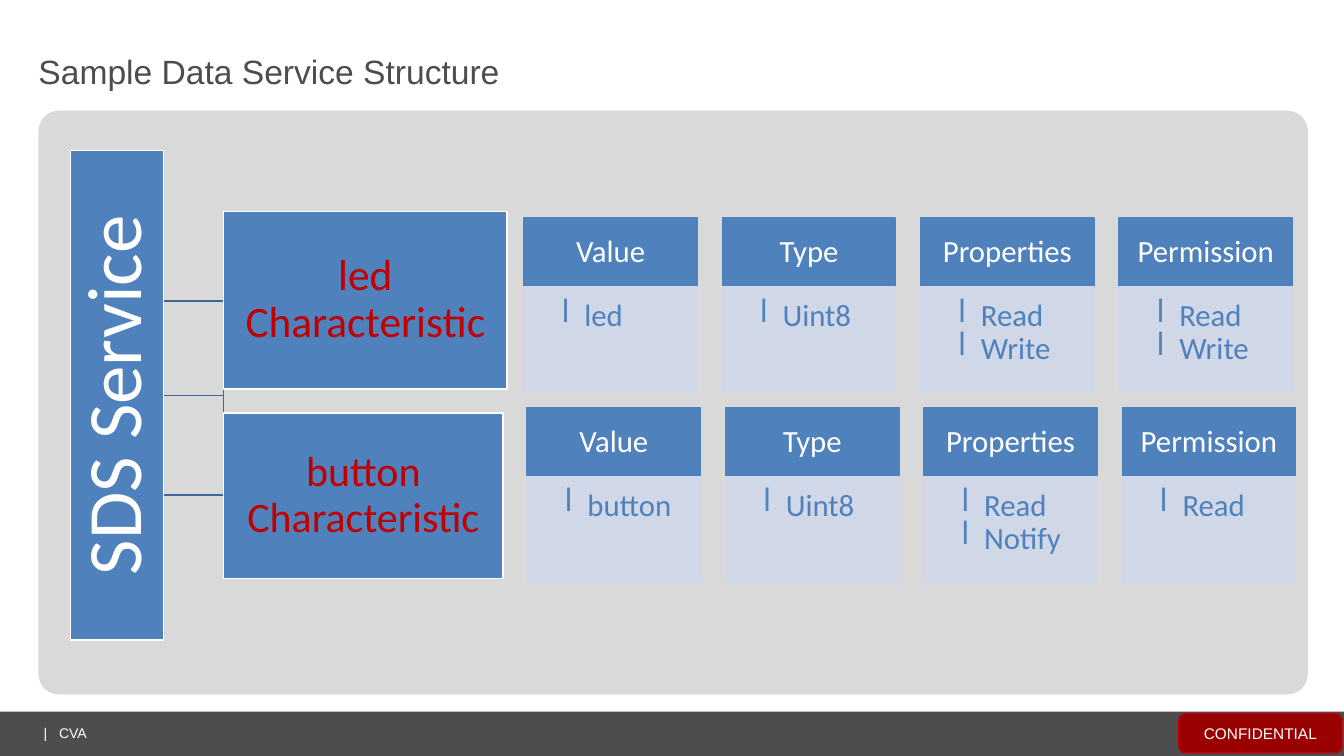
import pptx
import pptx.util
import pptx.dml.color
import pptx.enum.shapes
import pptx.enum.text
import pptx.oxml
import pptx.oxml.ns

Cm = pptx.util.Cm
Pt = pptx.util.Pt
RGBColor = pptx.dml.color.RGBColor
SHAPE = pptx.enum.shapes.MSO_SHAPE
ALIGN = pptx.enum.text.PP_ALIGN
ANCHOR = pptx.enum.text.MSO_ANCHOR

WHITE = RGBColor(0xFF, 0xFF, 0xFF)
CHARCOAL = RGBColor(0x4D, 0x4D, 0x4D)
PANEL_GREY = RGBColor(0xD9, 0xD9, 0xD9)
BLUE = RGBColor(0x4F, 0x81, 0xBD)
PALE_BLUE = RGBColor(0xD0, 0xD8, 0xE7)
LINE_BLUE = RGBColor(0x3F, 0x67, 0x97)
RED = RGBColor(0xC0, 0x00, 0x00)
DARK_RED = RGBColor(0x99, 0x00, 0x00)

CENTRED = {"alignment": ALIGN.CENTER, "line_spacing": 0.9}
LEFT = {"alignment": ALIGN.LEFT}

CHARACTERISTICS = [
    {"name": "led Characteristic", "size": 31,
     "box": (5.64, 5.33, 7.14, 4.47), "fields": (13.21, 5.49),
     "cards": {"Value": ["led"], "Type": ["Uint8"],
               "Properties": ["Read", "Write"], "Permission": ["Read", "Write"]}},
    {"name": "button Characteristic", "size": 30,
     "box": (5.64, 10.41, 7.04, 4.17), "fields": (13.29, 10.27),
     "cards": {"Value": ["button"], "Type": ["Uint8"],
               "Properties": ["Read", "Notify"], "Permission": ["Read"]}},
]


def add_ppr_child(para, xml):
    """Append one child element to the properties of a paragraph."""
    namespace = pptx.oxml.ns.nsdecls("a")
    tag, rest = xml.split(" ", 1)
    child = pptx.oxml.parse_xml(f"<a:{tag} {namespace} {rest}")
    para._p.get_or_add_pPr().append(child)


def add_bullet(para):
    """Give a paragraph a hanging letter bullet."""
    properties = para._p.get_or_add_pPr()
    properties.set("marL", str(Cm(1.19)))
    properties.set("indent", str(-Cm(0.58)))
    add_ppr_child(para, 'buChar char="l"/>')


def write_text(shape, lines, size, color, font="Calibri", insets=(0, 0, 0, 0),
               anchor=ANCHOR.MIDDLE, layout=CENTRED, prepare=None):
    """Fill a shape with formatted paragraphs."""
    frame = shape.text_frame
    left, top, right, bottom = (Cm(inset) for inset in insets)
    frame_format = {"word_wrap": True, "auto_size": pptx.enum.text.MSO_AUTO_SIZE.NONE,
                    "vertical_anchor": anchor, "margin_left": left, "margin_top": top,
                    "margin_right": right, "margin_bottom": bottom}
    for name, value in frame_format.items():
        setattr(frame, name, value)
    for index, line in enumerate(lines):
        para = frame.add_paragraph() if index else frame.paragraphs[0]
        for name, value in layout.items():
            setattr(para, name, value)
        if prepare:
            prepare(para)
        span = para.add_run()
        span.text = line
        for name, value in {"name": font, "size": Pt(size)}.items():
            setattr(span.font, name, value)
        span.font.color.rgb = color


def add_block(page, box, fill, line=None, kind=SHAPE.RECTANGLE, corner=None):
    """Draw a filled preset shape in a box given in centimetres."""
    shape = page.shapes.add_shape(kind, *(Cm(length) for length in box))
    shape.shadow.inherit = False
    shape.fill.solid()
    shape.fill.fore_color.rgb = fill
    if line is None:
        shape.line.fill.background()
    else:
        shape.line.color.rgb = line
        shape.line.width = Pt(1)
    if corner is not None:
        shape.adjustments[0] = corner
    return shape


def add_footer(page, box):
    """Draw the footer bar with its owner label and confidentiality badge."""
    left, top, width, height = box
    add_block(page, box, CHARCOAL)
    badge = add_block(page, (left + width - 4.16, top + 0.05, 4.11, 0.99), DARK_RED, RED,
                      SHAPE.ROUNDED_RECTANGLE, 0.167)
    write_text(badge, ["CONFIDENTIAL"], 11, WHITE, "Arial", (0.25, 0.13, 0.25, 0.13),
               layout={"alignment": ALIGN.CENTER})
    label = page.shapes.add_textbox(Cm(left + 1.1), Cm(top + 0.18), Cm(4.4), Cm(0.74))
    tab_stop = f'tabLst ><a:tab pos="{Cm(0.39)}" algn="l"/></a:tabLst>'
    write_text(label, ["|\tCVA"], 10, WHITE, "Arial", layout=LEFT,
               prepare=lambda para: add_ppr_child(para, tab_stop))


def add_title(page, box):
    """Place and format the title placeholder."""
    title = page.shapes.title
    for name, length in zip(("left", "top", "width", "height"), box):
        setattr(title, name, Cm(length))
    write_text(title, ["Sample Data Service Structure"], 24, CHARCOAL, "Arial", layout=LEFT)


def add_line(page, start, end):
    """Draw one thin branch line."""
    ends = (Cm(length) for length in (*start, *end))
    line = page.shapes.add_connector(pptx.enum.shapes.MSO_CONNECTOR.STRAIGHT, *ends)
    line.line.color.rgb = LINE_BLUE
    line.line.width = Pt(1)
    effects = pptx.oxml.parse_xml(f"<a:effectLst {pptx.oxml.ns.nsdecls('a')}/>")
    line._element.spPr.append(effects)


def add_service(page, box):
    """Draw the upright service bar and the branches on its right."""
    left, top, width, height = box
    right, middle = left + width, top + height / 2
    branch = right + 1.52
    upper, lower = middle - 2.38, middle + 2.51
    for level in (upper, middle, lower):
        add_line(page, (right, level), (branch, level))
    add_line(page, (branch, upper), (branch, lower))
    turned = (left + (width - height) / 2, top + (height - width) / 2, height, width)
    service = add_block(page, turned, BLUE, WHITE)
    service.rotation = 270
    write_text(service, ["SDS Service"], 55, WHITE, insets=(0.1,) * 4)


def add_card(page, box, heading, entries):
    """Draw one field card: a heading over a bulleted body."""
    left, top, width, height = box
    head = add_block(page, (left, top, width, 1.74), BLUE, BLUE)
    write_text(head, [heading], 22, WHITE, insets=(0.4, 0.25, 0.4, 0.25))
    body = add_block(page, (left, top + 1.74, width, height - 1.74), PALE_BLUE, PALE_BLUE)
    write_text(body, entries, 22, BLUE, insets=(0.33, 0.33, 0.43, 0.48), anchor=ANCHOR.TOP,
               layout={"alignment": ALIGN.LEFT, "line_spacing": 0.9}, prepare=add_bullet)


def add_characteristic(page, box, item):
    """Draw a characteristic box and its row of field cards."""
    name_box = add_block(page, box, BLUE, WHITE)
    write_text(name_box, [item["name"]], item["size"], RED, insets=(0.05,) * 4)
    left, top = item["fields"]
    for column, (heading, entries) in enumerate(item["cards"].items()):
        add_card(page, (left + 5 * column, top, 4.37, 4.41), heading, entries)


def main():
    """Build the service structure slide."""
    deck = pptx.Presentation()
    deck.slide_width, deck.slide_height = Cm(33.88), Cm(19.05)
    page = deck.slides.add_slide(deck.slide_layouts[5])
    add_footer(page, (0, 17.93, 33.88, 1.12))
    add_block(page, (0.97, 2.79, 32, 14.71), PANEL_GREY,
              kind=SHAPE.ROUNDED_RECTANGLE, corner=0.035)
    add_title(page, (0.97, 0.79, 32, 2.01))
    add_service(page, (1.78, 3.79, 2.34, 12.34))
    for item in CHARACTERISTICS:
        add_characteristic(page, item["box"], item)
    deck.save("out.pptx")


if __name__ == "__main__":
    main()
